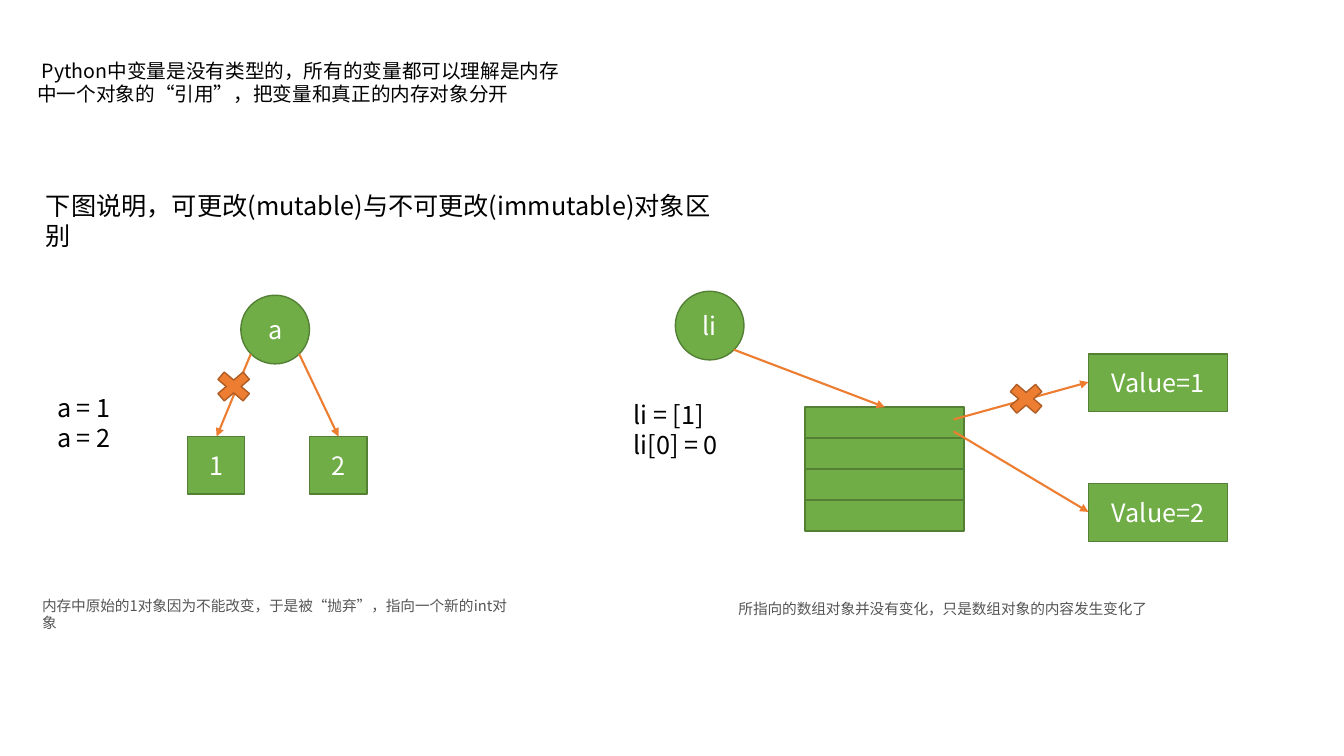
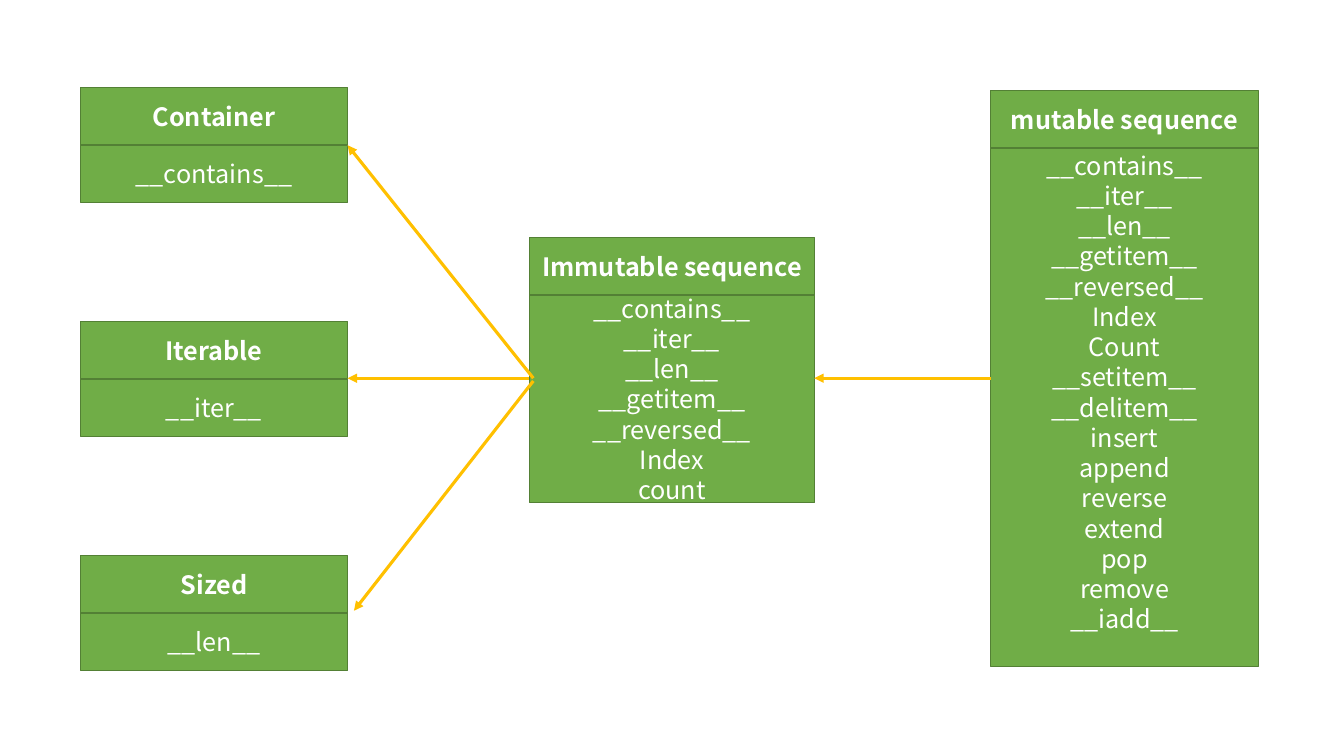
from lxml.etree import SubElement
from pptx import Presentation
from pptx.dml.color import RGBColor
from pptx.enum.shapes import MSO_CONNECTOR, MSO_SHAPE
from pptx.enum.text import MSO_ANCHOR, PP_ALIGN
from pptx.oxml.ns import qn
from pptx.util import Cm, Pt

FONT = "Noto Sans CJK SC"
BLACK = RGBColor(0x00, 0x00, 0x00)
WHITE = RGBColor(0xFF, 0xFF, 0xFF)
GRAY = RGBColor(0x55, 0x55, 0x55)
GREEN = RGBColor(0x70, 0xAD, 0x47)
DARK_GREEN = RGBColor(0x53, 0x80, 0x35)
ORANGE = RGBColor(0xED, 0x7D, 0x31)
DARK_ORANGE = RGBColor(0xAF, 0x5C, 0x24)
GOLD = RGBColor(0xFF, 0xC0, 0x00)


def add_text(slide, text, box, kind=None, size=18, color=None, bold=False,
             fill=GREEN, line=DARK_GREEN, bottom=0.13):
    """Add a text box, or a filled shape with centred text if kind is given."""
    lengths = [Cm(value) for value in box]
    if kind is None:
        shape = slide.shapes.add_textbox(*lengths)
    else:
        shape = slide.shapes.add_shape(kind, *lengths)
        shape.shadow.inherit = False
        shape.fill.solid()
        shape.fill.fore_color.rgb = fill
        shape.line.color.rgb = line
        shape.line.width = Pt(1)
    frame = shape.text_frame
    frame.word_wrap = True
    frame.margin_bottom = Cm(bottom)
    frame.vertical_anchor = MSO_ANCHOR.MIDDLE if kind else MSO_ANCHOR.TOP
    if not text:
        return
    frame.text = text
    for paragraph in frame.paragraphs:
        paragraph.alignment = PP_ALIGN.CENTER if kind else PP_ALIGN.LEFT
        for run in paragraph.runs:
            run.font.name = FONT
            run.font.size = Pt(size)
            run.font.bold = bold
            run.font.color.rgb = color or (WHITE if kind else BLACK)
            SubElement(run._r.get_or_add_rPr(), qn("a:ea"), typeface=FONT)


def add_arrow(slide, start, end, color, width):
    points = [Cm(value) for value in (*start, *end)]
    connector = slide.shapes.add_connector(MSO_CONNECTOR.STRAIGHT, *points)
    connector.line.color.rgb = color
    connector.line.width = Pt(width)
    SubElement(connector.line._get_or_add_ln(), qn("a:tailEnd"), type="triangle")
    SubElement(connector._element.spPr, qn("a:effectLst"))


presentation = Presentation()
presentation.slide_width = Cm(33.87)
presentation.slide_height = Cm(19.05)
blank = presentation.slide_layouts[6]

# Variables as references
slide = presentation.slides.add_slide(blank)

add_text(slide, " Python中变量是没有类型的，所有的变量都可以理解是内存中一个对象的“引用”，把变量和真正的内存对象分开",
         (0.69, 1.35, 13.69, 1.45), size=14)
add_text(slide, "下图说明，可更改(mutable)与不可更改(immutable)对象区别", (0.91, 4.67, 17.35, 1.02))
add_text(slide, "a = 1\na = 2", (1.19, 9.75, 2.36, 1.8))
add_text(slide, "li = [1]\nli[0] = 0", (15.72, 9.93, 4.39, 1.8))

for name, left, top in (("a", 6.07, 7.44), ("li", 17.02, 7.34)):
    add_text(slide, name, (left, top, 1.73, 1.73), MSO_SHAPE.OVAL)
for value, left, top, width in (
    ("1", 4.72, 11, 1.45),
    ("2", 7.8, 11, 1.45),
    ("Value=1", 27.43, 8.92, 3.51),
    ("Value=2", 27.43, 12.19, 3.51),
):
    add_text(slide, value, (left, top, width, 1.45), MSO_SHAPE.RECTANGLE)

ROW_HEIGHT = 0.78
for row in range(4):
    add_text(slide, "", (20.29, 10.26 + row * ROW_HEIGHT, 4.01, ROW_HEIGHT), MSO_SHAPE.RECTANGLE)

for start, end in (
    ((6.32, 8.92), (5.46, 11)),
    ((7.54, 8.92), (8.53, 11)),
    ((18.49, 8.81), (22.3, 10.26)),
    ((24.03, 10.57), (27.43, 9.63)),
    ((24.03, 10.87), (27.43, 12.9)),
):
    add_arrow(slide, start, end, ORANGE, 1.5)
for left, top in ((5.28, 9.22), (25.25, 9.53)):
    add_text(slide, "", (left, top, 1.22, 1.04), MSO_SHAPE.MATH_MULTIPLY,
             fill=ORANGE, line=DARK_ORANGE)

for caption, box in (
    ("内存中原始的1对象因为不能改变，于是被“抛弃”，指向一个新的int对象", (0.81, 14.91, 12.22, 0.71)),
    ("所指向的数组对象并没有变化，只是数组对象的内容发生变化了", (18.36, 14.99, 11.56, 0.71)),
):
    add_text(slide, caption, box, size=10.5, color=GRAY)

# Sequence protocols
slide = presentation.slides.add_slide(blank)

HEADER_HEIGHT = 1.45
SHARED_METHODS = ["__contains__", "__iter__", "__len__", "__getitem__", "__reversed__", "Index"]
MUTABLE_METHODS = ["Count", "__setitem__", "__delitem__", "insert", "append", "reverse",
                   "extend", "pop", "remove", "__iadd__"]
classes = [
    ("Immutable sequence", SHARED_METHODS + ["count"], 13.34, 5.99, 7.19, 5.23, 0.13),
    ("mutable sequence", SHARED_METHODS + MUTABLE_METHODS, 24.97, 2.28, 6.74, 13.06, 0.89),
]
for index, (name, method) in enumerate(
    (("Container", "__contains__"), ("Iterable", "__iter__"), ("Sized", "__len__"))
):
    classes.append((name, [method], 2.03, 2.2 + index * 5.9, 6.73, HEADER_HEIGHT, 0.13))

for name, methods, left, top, width, height, bottom in classes:
    add_text(slide, name, (left, top, width, HEADER_HEIGHT), MSO_SHAPE.RECTANGLE, bold=True)
    add_text(slide, "\n".join(methods), (left, top + HEADER_HEIGHT, width, height),
             MSO_SHAPE.RECTANGLE, bottom=bottom)

for start, end in (
    ((13.44, 9.53), (8.76, 3.66)),
    ((13.34, 9.53), (8.76, 9.53)),
    ((13.44, 9.6), (8.92, 15.39)),
    ((24.97, 9.53), (20.52, 9.53)),
):
    add_arrow(slide, start, end, GOLD, 2.25)

presentation.save("out.pptx")
